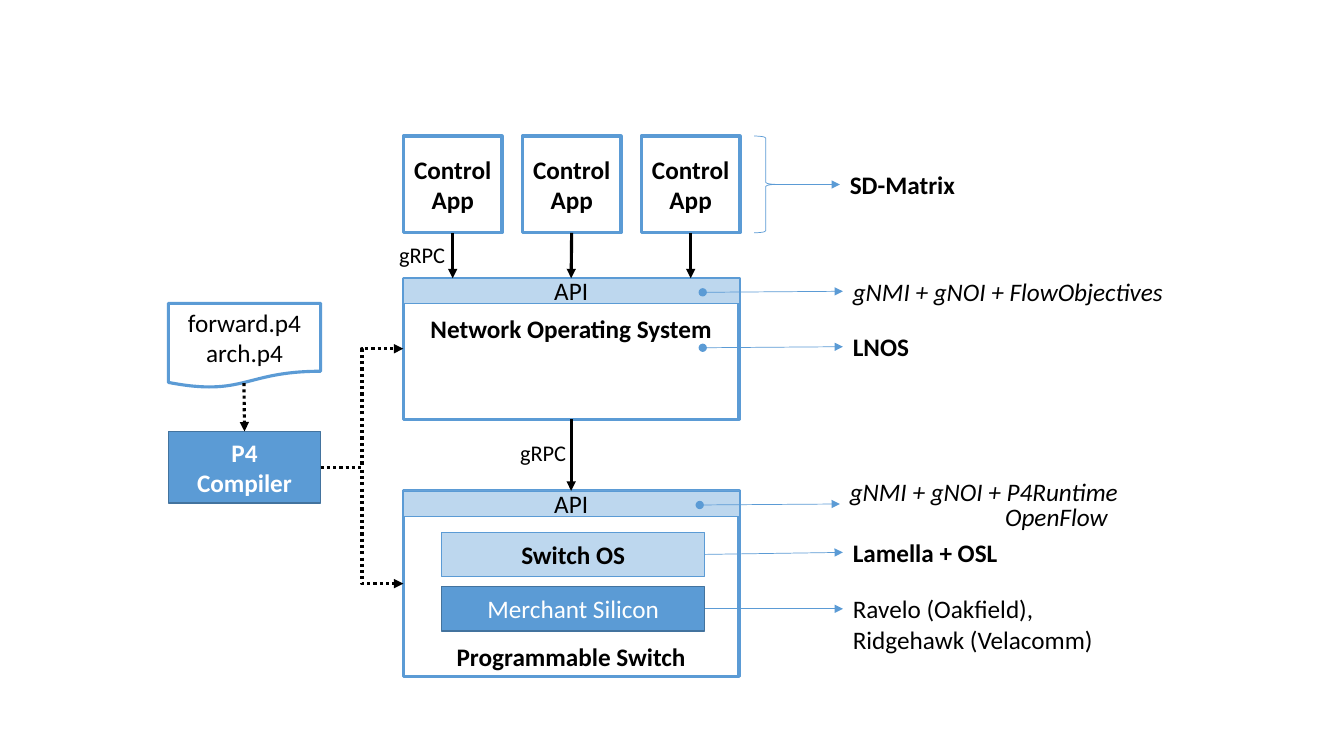
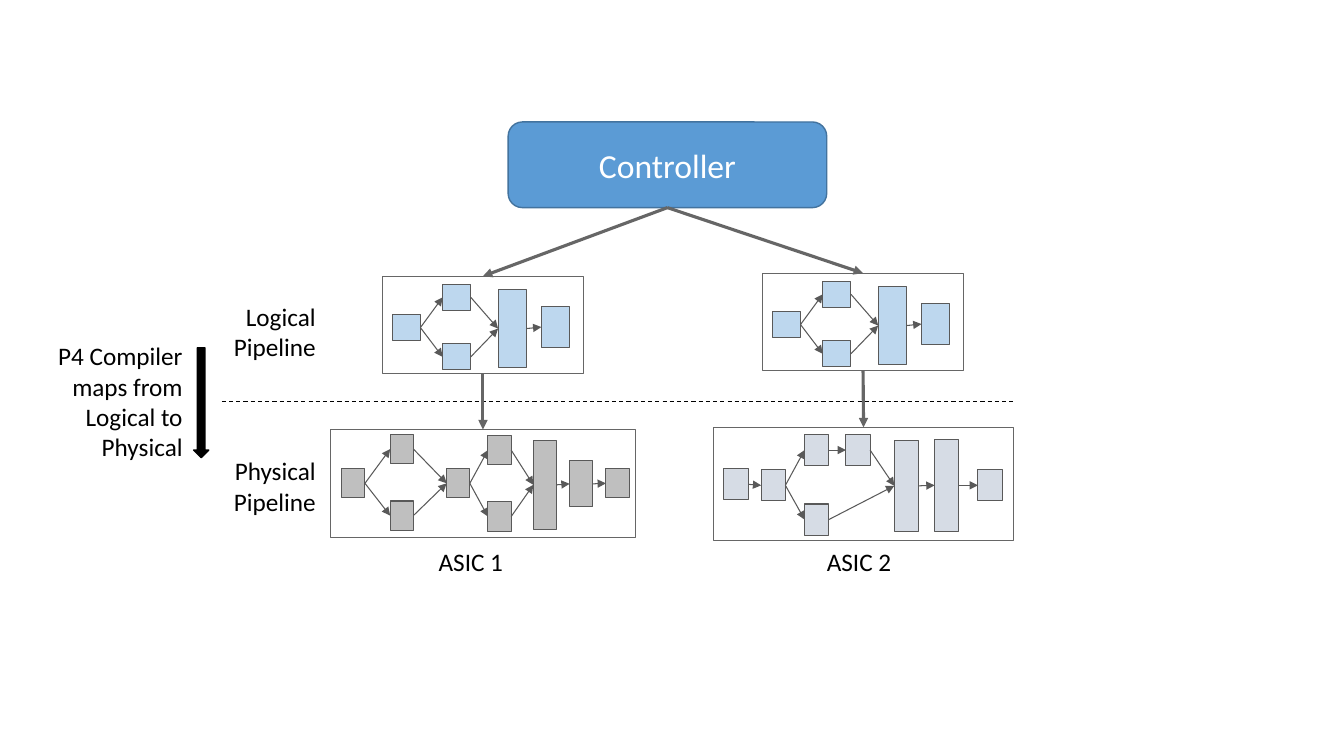
from lxml.etree import SubElement
from pptx import Presentation
from pptx.dml.color import RGBColor
from pptx.enum.dml import MSO_LINE
from pptx.enum.shapes import MSO_CONNECTOR, MSO_SHAPE
from pptx.enum.text import MSO_ANCHOR, PP_ALIGN
from pptx.oxml.ns import qn
from pptx.util import Pt

PX = 9144  # EMU in one px, 100 px to the inch
FONT = "Calibri"
COLORS = {
    "black": "000000",
    "white": "FFFFFF",
    "blue": "5B9BD5",
    "blue_edge": "43739E",
    "pale_blue": "BDD7EE",
    "frame": "666666",
    "stage_edge": "595959",
    "silver": "BFBFBF",
    "mist": "D6DCE5",
}
TOP, LEFT, BOTTOM, RIGHT = range(4)

# A stage is left, top, width, height within its pipeline; a flow joins two stages.
LOGICAL = dict(
    fill="pale_blue",
    stages=[(10, 38, 28, 26), (60, 8, 28, 26), (60, 67, 28, 26),
            (115, 13, 28, 78), (158, 30, 28, 41)],
    flows=[(0, 1), (0, 2), (1, 3), (2, 3), (3, 4)],
)
ASIC_1 = dict(
    fill="silver",
    stages=[(11, 39, 23, 29), (59, 5, 23, 29), (59, 71, 23, 29),
            (115, 39, 23, 29), (156, 6, 23, 29), (156, 72, 23, 29),
            (201, 11, 23, 88), (237, 31, 23, 46), (273, 39, 23, 29)],
    flows=[(0, 1), (0, 2), (1, 3), (2, 3), (3, 4), (3, 5), (4, 6), (5, 6),
           (6, 7), (7, 8)],
)
ASIC_2 = dict(
    fill="mist",
    stages=[(10, 41, 24, 31), (47, 42, 24, 31), (90, 7, 24, 31),
            (90, 76, 24, 31), (131, 7, 24, 31), (179, 13, 24, 90),
            (219, 12, 24, 91), (262, 42, 24, 31)],
    flows=[(0, 1), (1, 2), (1, 3), (2, 4), (4, 5), (3, 5), (5, 6), (6, 7)],
)


def emu(lengths):
    return [length * PX for length in lengths]


def rgb(name):
    return RGBColor.from_string(COLORS[name])


def write(frame, lines, size=18, color="black", bold=False, italic=False,
          align=PP_ALIGN.CENTER, anchor=MSO_ANCHOR.MIDDLE):
    frame.word_wrap = True
    frame.vertical_anchor = anchor
    for number, line in enumerate(lines):
        paragraph = frame.add_paragraph() if number else frame.paragraphs[0]
        paragraph.text = line
        paragraph.alignment = align
        font = paragraph.font
        font.name, font.size = FONT, Pt(size)
        font.bold, font.italic = bold, italic
        font.color.rgb = rgb(color)


def block(slide, box, fill="white", edge="blue", weight=2.25, lines=(),
          kind=MSO_SHAPE.RECTANGLE, **style):
    """Draw a preset shape; fill None leaves it hollow."""
    shape = slide.shapes.add_shape(kind, *emu(box))
    shape.shadow.inherit = False
    if fill:
        shape.fill.solid()
        shape.fill.fore_color.rgb = rgb(fill)
    else:
        shape.fill.background()
    shape.line.color.rgb = rgb(edge)
    shape.line.width = Pt(weight)
    write(shape.text_frame, lines, **style)
    return shape


def label(slide, box, lines, margin=5, align=PP_ALIGN.LEFT, **style):
    """Place free text; margin is the space above and below it."""
    frame = slide.shapes.add_textbox(*emu(box)).text_frame
    frame.margin_top = frame.margin_bottom = margin * PX
    write(frame, lines, align=align, anchor=MSO_ANCHOR.TOP, **style)
    return frame


def link(slide, start, end, color="black", weight=2.25, dash=None,
         head=None, tail="triangle", kind=MSO_CONNECTOR.STRAIGHT):
    """Connect two ends, each a point (x, y) or a joint (shape, side)."""
    joints = [not isinstance(place[0], int) for place in (start, end)]
    points = [(0, 0) if joint else emu(place)
              for joint, place in zip(joints, (start, end))]
    line = slide.shapes.add_connector(kind, *points[0], *points[1])
    if joints[0]:
        line.begin_connect(*start)
    if joints[1]:
        line.end_connect(*end)
    line.line.color.rgb = rgb(color)
    line.line.width = Pt(weight)
    if dash:
        line.line.dash_style = dash
    for tag, tip in (("a:headEnd", head), ("a:tailEnd", tail)):
        if tip:
            SubElement(line.line._get_or_add_ln(), qn(tag)).set("type", tip)
    SubElement(line._element.spPr, qn("a:effectLst"))


def callout(slide, start, end, lines, head=None, text_rise=20, **style):
    """Point from a part of the diagram to a remark right of it."""
    link(slide, start, end, color="blue", weight=0.5, head=head)
    x, y = end
    return label(slide, (x, y - text_rise, 345, 40), lines, **style)


def api_band(slide, box):
    left, top, width, _ = box
    block(slide, (left, top, width, 25), fill="pale_blue", weight=0.5,
          lines=["API"])


def control_apps(slide, left, top):
    apps = [block(slide, (left + 118 * i, top, 98, 96),
                  lines=["Control", "App"], bold=True) for i in range(3)]
    block(slide, (left + 348, top, 23, 96), fill=None, weight=0.5,
          kind=MSO_SHAPE.RIGHT_BRACE)
    callout(slide, (left + 371, top + 48), (left + 433, top + 48),
            ["SD-Matrix"], bold=True)
    return apps


def network_os(slide, box):
    left, top, _, _ = box
    system = block(slide, box, lines=["Network Operating System"], bold=True,
                   anchor=MSO_ANCHOR.TOP)
    system.text_frame.margin_top = 35 * PX
    api_band(slide, box)
    for drop, remark, style in (
            (14, "gNMI + gNOI + FlowObjectives", dict(italic=True)),
            (69, "LNOS", dict(bold=True))):
        callout(slide, (left + 297, top + drop), (left + 436, top + drop - 1),
                [remark], head="oval", **style)
    return system


def programmable_switch(slide, box):
    left, top, _, _ = box
    switch = block(slide, box, lines=["Programmable Switch"], bold=True,
                   anchor=MSO_ANCHOR.BOTTOM)
    api_band(slide, box)
    switch_os = block(slide, (left + 38, top + 41, 261, 44), fill="pale_blue",
                      weight=0.5, lines=["Switch OS"], bold=True)
    silicon = block(slide, (left + 38, top + 95, 261, 44), fill="blue",
                    edge="blue_edge", weight=1, lines=["Merchant Silicon"],
                    color="white")
    protocols = callout(slide, (left + 294, top + 14), (left + 433, top + 13),
                        ["gNMI + gNOI + P4Runtime", "OpenFlow"],
                        head="oval", text_rise=32, italic=True)
    open_flow = protocols.paragraphs[1]
    open_flow.line_spacing = 0.8
    open_flow._p.get_or_add_pPr().set("marL", str(154 * PX))
    callout(slide, (switch_os, RIGHT), (left + 436, top + 61),
            ["Lamella + OSL"], bold=True)
    callout(slide, (silicon, RIGHT), (left + 436, top + 117),
            ["Ravelo (Oakfield),", "Ridgehawk (Velacomm)"])
    return switch


def compiler(slide, left, top):
    block(slide, (left, top, 151, 84), lines=["forward.p4", "arch.p4"],
          kind=MSO_SHAPE.FLOWCHART_DOCUMENT)
    p4_compiler = block(slide, (left, top + 127, 151, 71), fill="blue",
                        edge="blue_edge", weight=1, lines=["P4", "Compiler"],
                        color="white", bold=True)
    link(slide, (left + 75, top + 79), (p4_compiler, TOP),
         dash=MSO_LINE.ROUND_DOT)
    return p4_compiler


def stack_slide(slide):
    switch = programmable_switch(slide, (400, 487, 333, 184))
    system = network_os(slide, (400, 276, 333, 140))
    apps = control_apps(slide, 400, 135)
    for app, end in zip(apps, ((449, 276), (system, TOP), (685, 276))):
        link(slide, (app, BOTTOM), end)
    link(slide, (system, BOTTOM), (switch, TOP))
    p4_compiler = compiler(slide, 167, 301)
    for target in (system, switch):
        link(slide, (p4_compiler, RIGHT), (target, LEFT),
             dash=MSO_LINE.ROUND_DOT, kind=MSO_CONNECTOR.ELBOW)
    for left, top in ((506, 431), (386, 234)):
        label(slide, (left, top, 72, 37), ["gRPC"], size=16)


def pipeline(slide, box, fill, stages, flows):
    left, top, _, _ = box
    frame = block(slide, box, fill=None, edge="frame", weight=0.75)
    boxes = [block(slide, (left + x, top + y, width, height), fill=fill,
                   edge="stage_edge", weight=0.75)
             for x, y, width, height in stages]
    for source, target in flows:
        link(slide, (boxes[source], RIGHT), (boxes[target], LEFT),
             color="stage_edge", weight=0.75)
    return frame


def pipeline_slide(slide):
    link(slide, (220, 398), (1008, 398), weight=0.75, dash=MSO_LINE.DASH,
         tail=None)
    controller = block(slide, (504, 121, 316, 85), fill="blue",
                       edge="blue_edge", weight=1, lines=["Controller"],
                       size=24, color="white",
                       kind=MSO_SHAPE.ROUNDED_RECTANGLE)
    for logical_box, physical_box, asic, name, name_left in (
            ((379, 274, 200, 97), (328, 426, 302, 107), ASIC_1, "ASIC 1", 420),
            ((756, 271, 200, 97), (708, 424, 297, 112), ASIC_2, "ASIC 2", 805)):
        logical = pipeline(slide, logical_box, **LOGICAL)
        physical = pipeline(slide, physical_box, **asic)
        link(slide, (controller, BOTTOM), (logical, TOP), color="frame")
        link(slide, (logical, BOTTOM), (physical, TOP), color="frame")
        label(slide, (name_left, 532, 94, 30), [name], margin=10,
              align=PP_ALIGN.CENTER)
    for top, layer in ((289, "Logical"), (442, "Physical")):
        label(slide, (203, top, 120, 70), [layer, "Pipeline"], margin=10,
              align=PP_ALIGN.RIGHT)
    label(slide, (36, 333, 155, 131),
          ["P4 Compiler", "maps from", "Logical to", "Physical"],
          align=PP_ALIGN.RIGHT)
    block(slide, (192, 345, 15, 109), fill="black", edge="black", weight=1,
          kind=MSO_SHAPE.DOWN_ARROW)


def main():
    deck = Presentation()
    deck.slide_width, deck.slide_height = emu((1333, 750))
    blank = deck.slide_layouts[6]
    for build in (stack_slide, pipeline_slide):
        build(deck.slides.add_slide(blank))
    deck.save("out.pptx")


if __name__ == "__main__":
    main()
